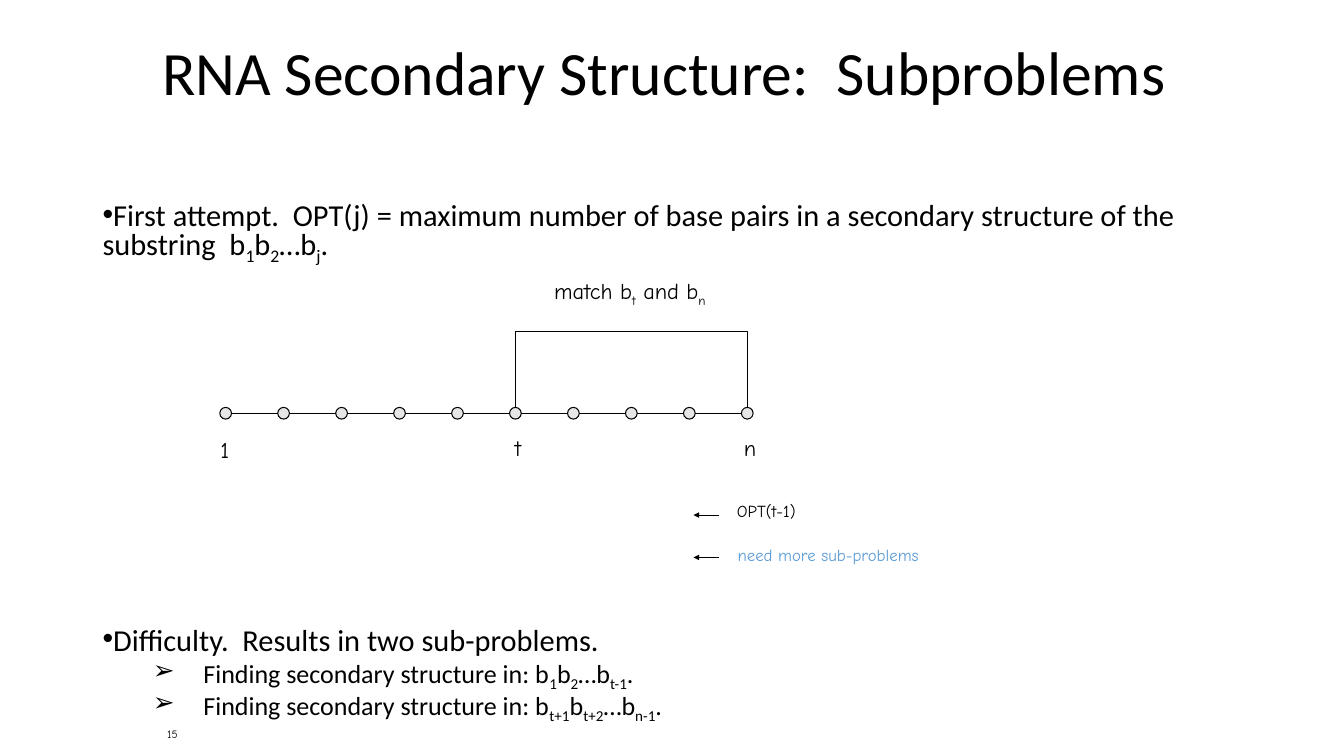
from pptx import Presentation
from pptx.dml.color import RGBColor
from pptx.enum.shapes import MSO_CONNECTOR, MSO_SHAPE
from pptx.enum.text import MSO_ANCHOR, PP_ALIGN
from pptx.oxml.ns import qn
from pptx.util import Pt
from lxml.etree import SubElement

BODY_FONT, DIAGRAM_FONT = "Calibri", "Comic Neue"
BLACK, GREY, BLUE = "000000", "E7E6E6", "5B9BD5"

# Chain of bases
BASE_COUNT, BASE_STEP, BASE_SIZE = 10, 41.4, 8.4
CHAIN_LEFT, CHAIN_Y = 161.2, 295.2
MATCH_TOP, MATCH_START = 236.6, 5


def color(hex_value):
    return RGBColor.from_string(hex_value)


def base_x(index):
    return CHAIN_LEFT + index * BASE_STEP


def style_line(shape):
    shape.line.color.rgb = color(BLACK)
    shape.line.width = Pt(0.75)


def write(paragraph, text, size, font=DIAGRAM_FONT, fill=BLACK):
    """Write text in which every second part between bars is a subscript."""
    paragraph.font.name = font
    paragraph.font.size = Pt(size)
    paragraph.font.color.rgb = color(fill)
    for index, part in enumerate(text.split("|")):
        run = paragraph.add_run()
        run.text = part
        if index % 2:
            run._r.get_or_add_rPr().set("baseline", "-25000")


def add_text_frame(slide, left, top, width, height):
    box = slide.shapes.add_textbox(Pt(left), Pt(top), Pt(width), Pt(height))
    box.text_frame.word_wrap = True
    return box.text_frame


def add_label(slide, text, left, top, width, height, size=16, fill=BLACK,
              align=PP_ALIGN.LEFT, anchor=MSO_ANCHOR.TOP):
    frame = add_text_frame(slide, left, top, width, height)
    frame.vertical_anchor = anchor
    frame.paragraphs[0].alignment = align
    write(frame.paragraphs[0], text, size, fill=fill)


def add_bullets(slide, top, height, items):
    """Add a bullet list; each item is a level and a text."""
    frame = add_text_frame(slide, 66.2, top, 850, height)
    for index, (level, text) in enumerate(items):
        paragraph = frame.add_paragraph() if index else frame.paragraphs[0]
        paragraph.level = level
        paragraph.line_spacing = 0.7
        paragraph.space_before = Pt(5 if index else 0)
        properties = paragraph._p.get_or_add_pPr()
        properties.set("marL", str(Pt(72 * level)))
        properties.set("indent", str(Pt(-36 * level)))
        SubElement(properties, qn("a:buFont")).set("typeface", "Arial")
        SubElement(properties, qn("a:buChar")).set("char", "➢" if level else "•")
        write(paragraph, text, 18.6 if level else 21.7, BODY_FONT)


def add_line(slide, start_x, end_x, y, arrow=False):
    line = slide.shapes.add_connector(
        MSO_CONNECTOR.STRAIGHT, Pt(start_x), Pt(y), Pt(end_x), Pt(y))
    style_line(line)
    if arrow:
        tail = SubElement(line.line._get_or_add_ln(), qn("a:tailEnd"))
        tail.set("type", "triangle")
        tail.set("w", "sm")
        tail.set("len", "sm")
    SubElement(line._element.spPr, qn("a:effectLst"))


def add_base(slide, x):
    radius = BASE_SIZE / 2
    base = slide.shapes.add_shape(
        MSO_SHAPE.OVAL, Pt(x - radius), Pt(CHAIN_Y - radius), Pt(BASE_SIZE), Pt(BASE_SIZE))
    base.shadow.inherit = False
    base.fill.solid()
    base.fill.fore_color.rgb = color(GREY)
    style_line(base)


def add_match_bracket(slide, left, right, top, bottom):
    builder = slide.shapes.build_freeform(Pt(left), Pt(bottom))
    corners = [(left, top), (right, top), (right, bottom)]
    builder.add_line_segments([(Pt(x), Pt(y)) for x, y in corners], close=False)
    bracket = builder.convert_to_shape()
    bracket.shadow.inherit = False
    bracket.fill.background()
    style_line(bracket)


def add_title(slide, text):
    title = slide.shapes.title
    title.left, title.top, title.width, title.height = Pt(108.7), Pt(20.9), Pt(828), Pt(65.5)
    title.text_frame.vertical_anchor = MSO_ANCHOR.MIDDLE
    paragraph = title.text_frame.paragraphs[0]
    paragraph.alignment = PP_ALIGN.LEFT
    paragraph.line_spacing = 0.9
    write(paragraph, text, 44, BODY_FONT)


def add_chain(slide):
    radius = BASE_SIZE / 2
    for index in range(BASE_COUNT):
        add_base(slide, base_x(index))
        if index:
            add_line(slide, base_x(index - 1) + radius, base_x(index) - radius, CHAIN_Y)
    add_match_bracket(slide, base_x(MATCH_START), base_x(BASE_COUNT - 1),
                      MATCH_TOP, CHAIN_Y - radius)
    for text, x, y in [("1", 160.6, 321.1), ("t", 370.1, 319.7), ("n", 535.7, 319.7)]:
        add_label(slide, text, x - 23, y - 23, 46, 46,
                  align=PP_ALIGN.CENTER, anchor=MSO_ANCHOR.MIDDLE)
    add_label(slide, "match b|t| and b|n", 388.8, 194.4, 135, 26.6)


def main():
    presentation = Presentation()
    presentation.slide_width, presentation.slide_height = Pt(960), Pt(540)
    slide = presentation.slides.add_slide(presentation.slide_layouts[5])

    # Title and slide number, which stays clear of the last bullet
    add_title(slide, "RNA Secondary Structure:  Subproblems")
    add_label(slide, "15", 112.3, 510, 170, 28.8, size=8, anchor=MSO_ANCHOR.MIDDLE)

    # Bullet lists above and below the diagram
    add_bullets(slide, 144, 48, [
        (0, "First attempt.  OPT(j) = maximum number of base pairs in a secondary "
            "structure of the substring  b|1|b|2|…b|j|."),
    ])
    add_bullets(slide, 447, 70, [
        (0, "Difficulty.  Results in two sub-problems."),
        (1, "Finding secondary structure in: b|1|b|2|…b|t-1|."),
        (1, "Finding secondary structure in: b|t+1|b|t+2|…b|n-1|."),
    ])

    # Diagram with its side remarks
    add_chain(slide)
    add_label(slide, "OPT(t-1)", 519.3, 354.2, 70, 21.8, size=12)
    add_label(slide, "need more sub-problems", 519.8, 385.2, 160, 21.8, size=12, fill=BLUE)
    for y in (367.9, 398.2):
        add_line(slide, 513.8, 495.4, y, arrow=True)

    presentation.save("out.pptx")


if __name__ == "__main__":
    main()
